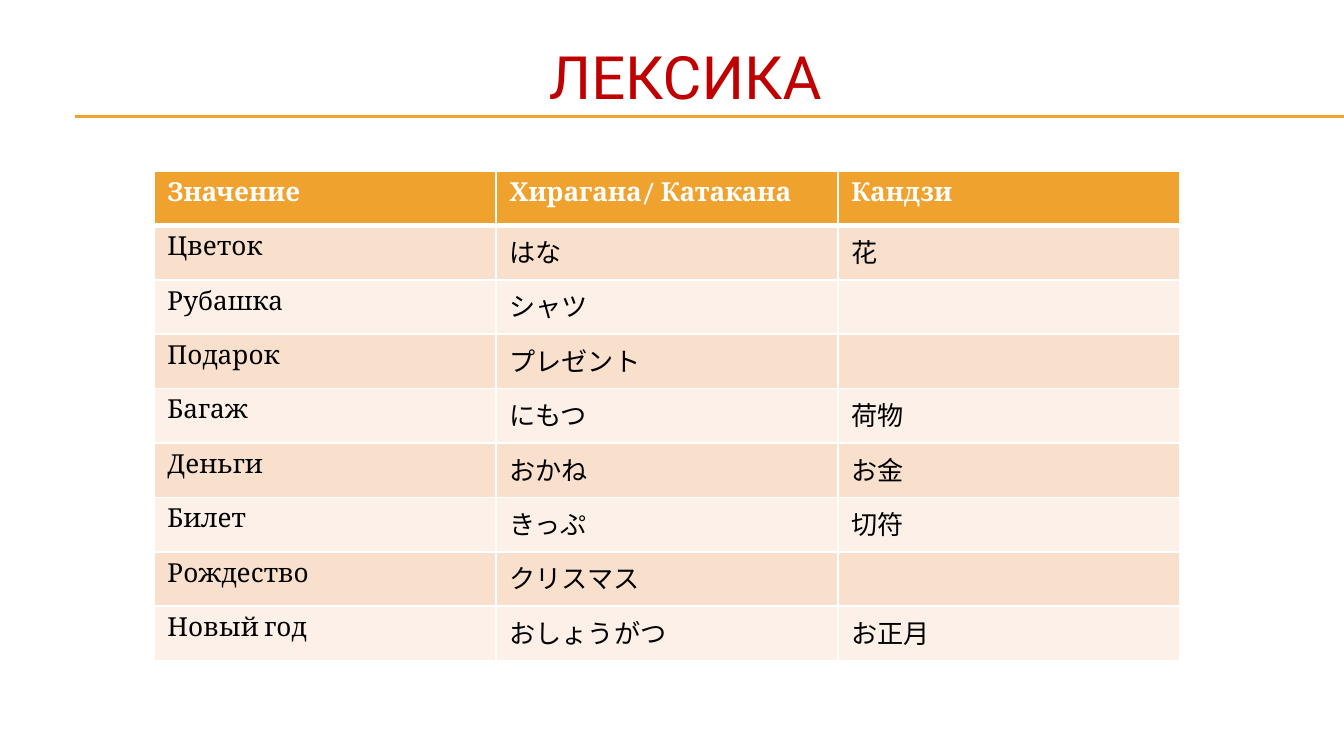
"""Build a vocabulary slide: a ruled title above a three-column word table."""
from lxml import etree
from pptx import Presentation
from pptx.dml.color import RGBColor
from pptx.enum.shapes import MSO_CONNECTOR
from pptx.enum.text import MSO_ANCHOR, PP_ALIGN
from pptx.oxml import parse_xml
from pptx.oxml.ns import nsdecls, qn
from pptx.util import Emu, Pt

STRAIGHT = MSO_CONNECTOR.STRAIGHT
MIDDLE = MSO_ANCHOR.MIDDLE
CENTER = PP_ALIGN.CENTER
PX = 914400 / 134.4
ORANGE, RED, WHITE, BLACK = "F0A22E", "C00000", "FFFFFF", "000000"
BANDS = ["FCF0E8", "F9E0CD"]
WORDS = [
    ("Значение", "Хирагана/ Катакана", "Кандзи"),
    ("Цветок", "はな", "花"),
    ("Рубашка", "シャツ", ""),
    ("Подарок", "プレゼント", ""),
    ("Багаж", "にもつ", "荷物"),
    ("Деньги", "おかね", "お金"),
    ("Билет", "きっぷ", "切符"),
    ("Рождество", "クリスマス", ""),
    ("Новый год", "おしょうがつ", "お正月"),
]


def px(*lengths):
    return [Emu(round(length * PX)) for length in lengths]


def write(paragraph, text, color, **font_format):
    run = paragraph.add_run()
    run.text = text
    for attribute, value in font_format.items():
        setattr(run.font, attribute, value)
    run.font.color.rgb = RGBColor.from_string(color)


prs = Presentation()
prs.slide_width, prs.slide_height = px(1344, 756)
slide = prs.slides.add_slide(prs.slide_layouts[6])

for rule_y in (116, 117):
    rule = slide.shapes.add_connector(STRAIGHT, *px(75, rule_y, 1344, rule_y))
    rule.line.color.rgb = RGBColor.from_string(ORANGE)
    rule.line.width = Pt(0.75)
    etree.SubElement(rule._element.spPr, qn("a:effectLst"))

title = slide.shapes.add_textbox(*px(58, 19, 1255, 113)).text_frame
for attribute, value in {"word_wrap": True, "vertical_anchor": MIDDLE}.items():
    setattr(title, attribute, value)
title.paragraphs[0].alignment = CENTER
write(title.paragraphs[0], "ЛЕКСИКА", RED, name="Roboto", size=Pt(32))

vocabulary = slide.shapes.add_table(
    len(WORDS), len(WORDS[0]), *px(154, 171, 1026, 490)
).table
for row_index, words in enumerate(WORDS):
    is_header = row_index == 0
    background = ORANGE if is_header else BANDS[row_index % 2]
    border_widths = {
        "lnL": 1,
        "lnR": 1,
        "lnT": 3 if row_index == 1 else 1,
        "lnB": 3 if is_header else 1,
    }
    for column_index, word in enumerate(words):
        cell = vocabulary.cell(row_index, column_index)
        cell_format = cell._tc.get_or_add_tcPr()
        for side, width in border_widths.items():
            cell_format.append(parse_xml(
                f'<a:{side} {nsdecls("a")} w="{Pt(width)}"><a:solidFill>'
                f'<a:srgbClr val="{WHITE}"/></a:solidFill></a:{side}>'
            ))
        cell.fill.solid()
        cell.fill.fore_color.rgb = RGBColor.from_string(background)
        write(cell.text_frame.paragraphs[0], word, WHITE if is_header else BLACK,
              name="Cambria", size=Pt(14), bold=is_header)

prs.save("out.pptx")
